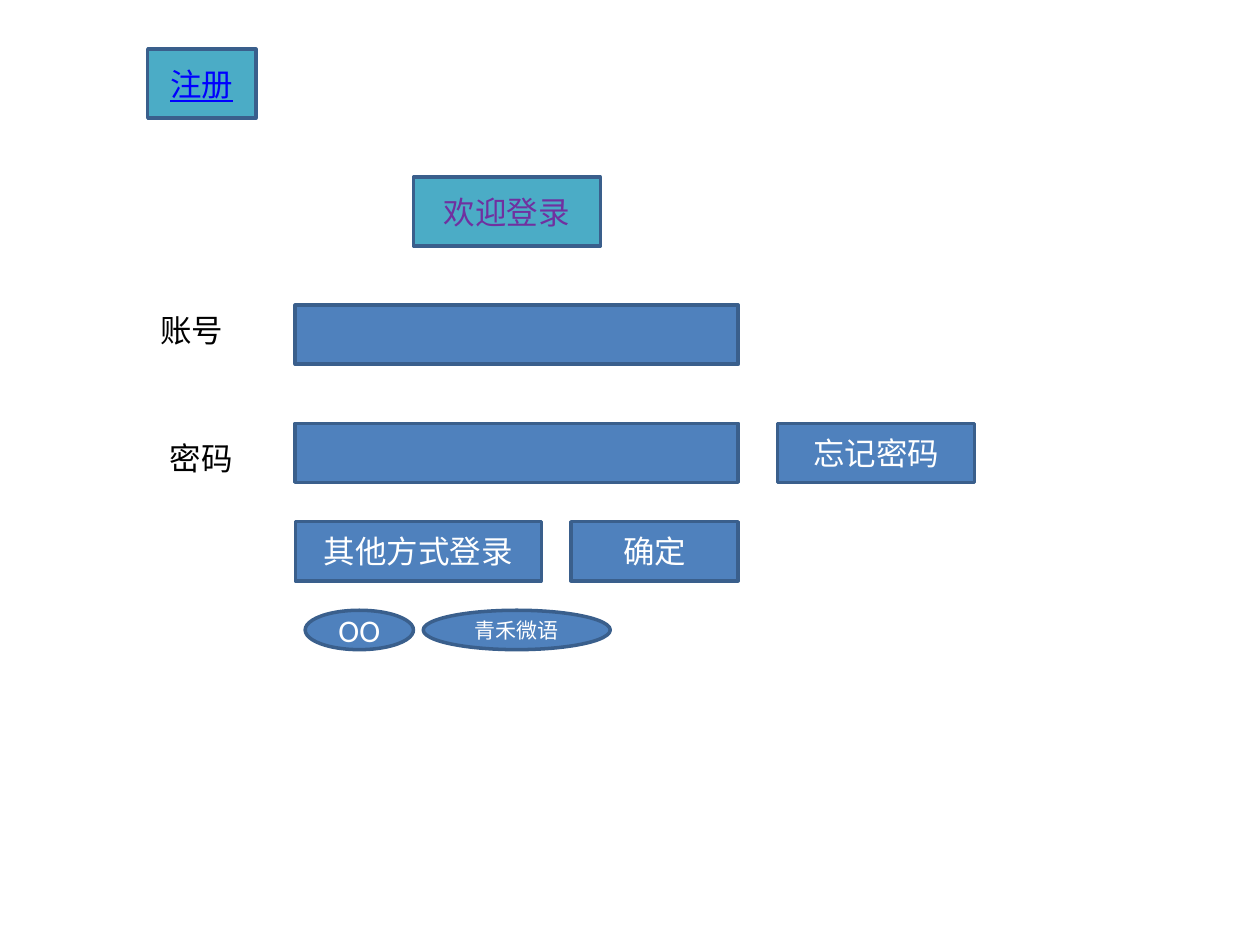
from dataclasses import dataclass
from pptx import Presentation
from pptx.dml.color import RGBColor as Rgb
from pptx.enum.shapes import MSO_SHAPE as Kind
from pptx.enum.text import MSO_ANCHOR as Anchor, MSO_AUTO_SIZE as Fit, PP_ALIGN as Align
from pptx.util import Inches, Pt

COLS, ROWS = 128, 96
WIDE, HIGH = Inches(10), Inches(7.5)


@dataclass(frozen=True)
class Theme:
    """Hold the colours and type sizes."""
    font: str = "Calibri"
    body: int = 18
    small: int = 12
    rule: int = 2
    blue: str = "4F81BD"
    teal: str = "4BACC6"
    edge: str = "3A5F8C"
    white: str = "FFFFFF"
    black: str = "000000"
    link: str = "0000FF"
    plum: str = "7030A0"


T = Theme()


def place(box, col, row, cols, rows):
    """Turn grid cells inside a box into slide lengths."""
    left, top = box[0] + col, box[1] + row
    return [int(n) for n in (WIDE * left / COLS, HIGH * top / ROWS,
                             WIDE * cols / COLS, HIGH * rows / ROWS)]


def write(shape, text, ink, size=T.body, align=Align.CENTER, under=None):
    """Put one run of text in a shape."""
    para = shape.text_frame.paragraphs[0]
    para.alignment = align
    run = para.add_run()
    run.text = text
    font = run.font
    font.name, font.size, font.underline = T.font, Pt(size), under
    font.color.rgb = Rgb.from_string(ink)


def paint(shape, fill):
    """Fill and outline a shape and centre its text."""
    shape.fill.solid()
    shape.fill.fore_color.rgb = Rgb.from_string(fill)
    shape.line.color.rgb = Rgb.from_string(T.edge)
    shape.line.width = Pt(T.rule)
    shape.text_frame.vertical_anchor = Anchor.MIDDLE


def button(slide, area, text="", kind=Kind.RECTANGLE, fill=T.blue,
           ink=T.white, size=T.body, under=None):
    """Draw a button or an empty field."""
    shape = slide.shapes.add_shape(kind, *area)
    shape.shadow.inherit = False
    paint(shape, fill)
    if text:
        write(shape, text, ink, size, under=under)


def label(slide, area, text):
    """Draw the name of a field."""
    shape = slide.shapes.add_textbox(*area)
    shape.text_frame.word_wrap = True
    shape.text_frame.auto_size = Fit.SHAPE_TO_FIT_TEXT
    write(shape, text, T.black, align=Align.LEFT)


def header(slide, box):
    """Build the sign-up button and the title."""
    button(slide, place(box, 0, 0, 11, 7), "注册", fill=T.teal, ink=T.link, under=True)
    title = slide.shapes.title
    title.left, title.top, title.width, title.height = place(box, 27, 13, 19, 7)
    title.text_frame.auto_size = Fit.NONE
    paint(title, T.teal)
    write(title, "欢迎登录", T.plum)


def fields(slide, box):
    """Build the account and password rows."""
    for row, (text, shift) in enumerate((("账号", 0), ("密码", 1))):
        top = row * 12
        label(slide, place(box, shift, top + shift, 12 - shift, 5.1), text)
        button(slide, place(box, 15, top, 45, 6))
    button(slide, place(box, 64, 12, 20, 6), "忘记密码")


def choices(slide, box):
    """Build the confirm row and the other ways to sign in."""
    button(slide, place(box, 0, 0, 25, 6), "其他方式登录")
    button(slide, place(box, 28, 0, 17, 6), "确定")
    for col, cols, text, size in ((1, 11, "OO", T.body), (13, 19, "青禾微语", T.small)):
        button(slide, place(box, col, 9, cols, 4), text, Kind.OVAL, size=size)


def main():
    """Build and save the sign-in slide."""
    deck = Presentation()
    deck.slide_width, deck.slide_height = WIDE, HIGH
    slide = deck.slides.add_slide(deck.slide_layouts[5])
    header(slide, (15, 5))
    fields(slide, (15, 31))
    choices(slide, (30, 53))
    deck.save("out.pptx")


main()
